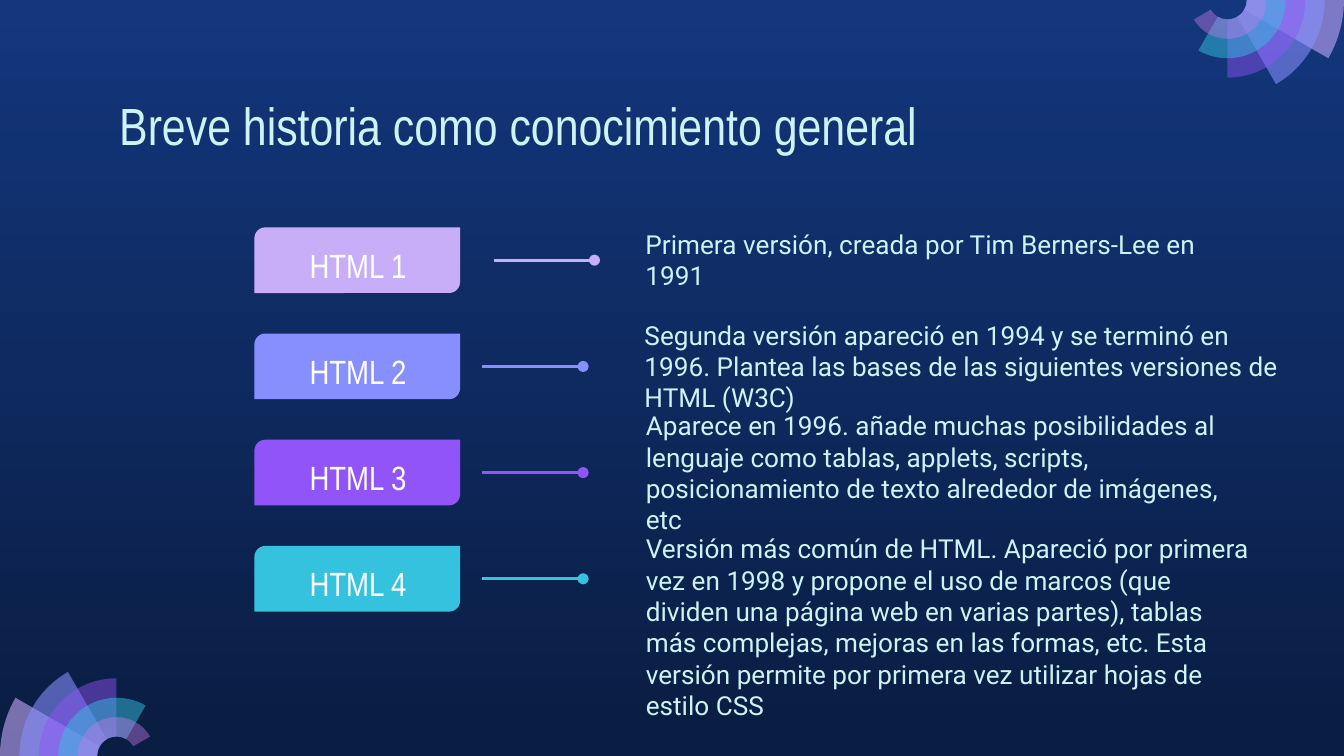
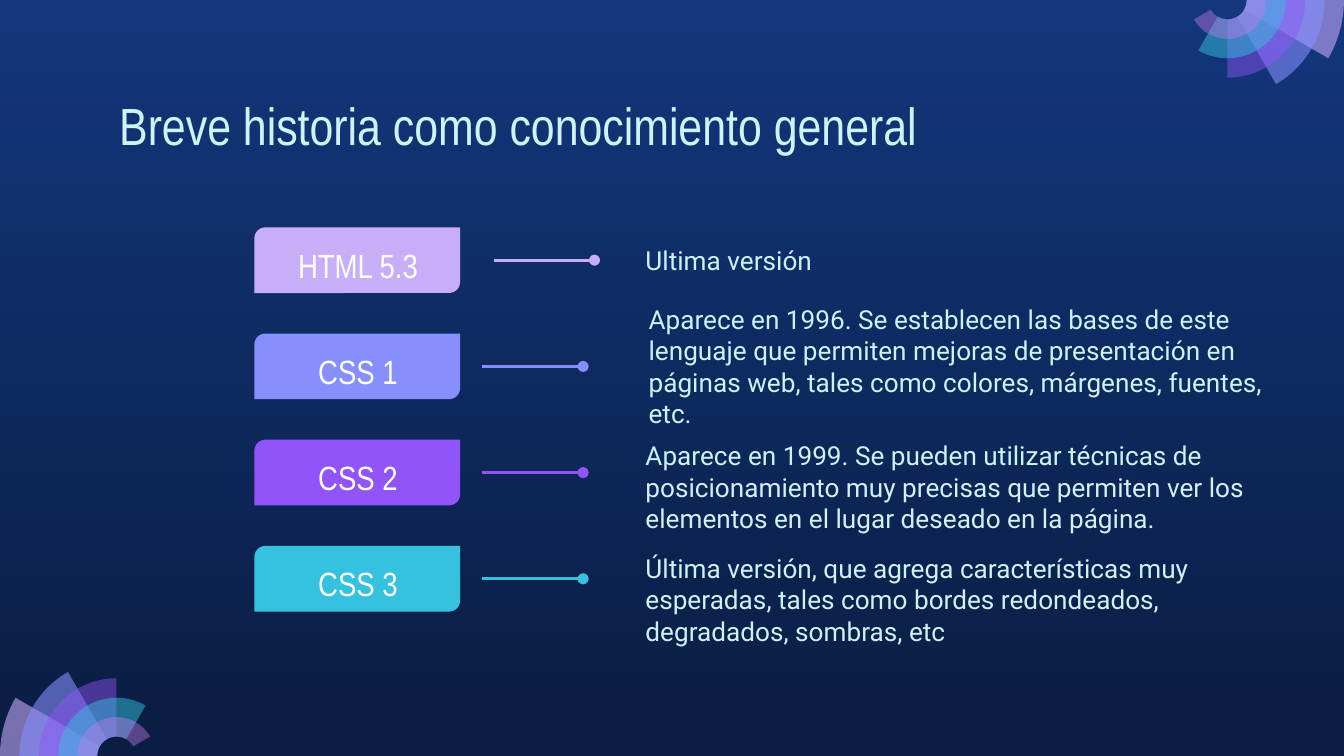
import math
from dataclasses import dataclass
from typing import Any

import lxml.etree
import pptx
import pptx.dml.color
import pptx.enum.shapes
import pptx.enum.text
import pptx.oxml.ns
import pptx.util

Pt = pptx.util.Pt
KIND = pptx.enum.shapes.MSO_SHAPE
LINK = pptx.enum.shapes.MSO_CONNECTOR
ANCHOR = pptx.enum.text.MSO_ANCHOR
ALIGN = pptx.enum.text.PP_ALIGN
qn = pptx.oxml.ns.qn

WIDE, HIGH = 720, 405
HUES = {
    "top": "13367C", "base": "0A1D42", "text": "CEF3F5", "white": "FFFFFF",
    "pale": "C8ACFD", "lilac": "C8AEF8", "blue": "878FFF",
    "purple": "9154F8", "cyan": "35C2DF", "pink": "CA7BEB",
}
TITLE = "Breve historia como conocimiento general"

# Each wheel is a stack of rings, every one a step smaller and 30 degrees longer.
STEP = 10.4
RINGS = [("pale", 58), ("blue", 58), ("purple", 46), ("cyan", 49), ("pink", 42)]
HUB = 6 * STEP

# Rows of a slide
BARS = ["lilac", "blue", "purple", "cyan"]
LEFT, TOP, PITCH = 136.3, 121.8, 56.9
BAR_W, BAR_H = 110.2, 35.2
LINE_W = 54
PAD = 7.2


@dataclass
class Box:
    left: float
    top: float
    width: float
    height: float


@dataclass
class Row:
    label: str
    note: str
    box: Box
    pad: float = 3 * PAD


@dataclass
class Style:
    font: dict[str, Any]
    hue: str
    para: dict[str, Any]
    frame: dict[str, Any]


HEAD = Style({"size": Pt(28), "name": "Arial Narrow"}, "text",
             {"alignment": ALIGN.LEFT}, {"vertical_anchor": ANCHOR.TOP})
LABEL = Style({"size": Pt(18), "name": "Arial Narrow"}, "white",
              {"alignment": ALIGN.CENTER, "space_after": Pt(16)},
              {"vertical_anchor": ANCHOR.TOP})
NOTE = Style({"size": Pt(14), "name": "Roboto"}, "text",
             {"alignment": ALIGN.LEFT},
             {"vertical_anchor": ANCHOR.MIDDLE, "margin_right": Pt(3 * PAD)})

DECK = [
    [
        Row("HTML 1", "Primera versión, creada por Tim Berners-Lee en 1991",
            Box(324.2, 116.1, 369.4, 46)),
        Row("HTML 2", "Segunda versión apareció en 1994 y se terminó en 1996. Plantea "
            "las bases de las siguientes versiones de HTML (W3C)",
            Box(338.2, 173.1, 369.4, 46), PAD),
        Row("HTML 3", "Aparece en 1996. añade muchas posibilidades al lenguaje como "
            "tablas, applets, scripts, posicionamiento de texto alrededor de "
            "imágenes, etc",
            Box(324.4, 230, 369.4, 46)),
        Row("HTML 4", "Versión más común de HTML. Apareció por primera vez en 1998 y "
            "propone el uso de marcos (que dividen una página web en varias partes), "
            "tablas más complejas, mejoras en las formas, etc. Esta versión permite "
            "por primera vez utilizar hojas de estilo CSS",
            Box(324.4, 281, 369.4, 109.4)),
    ],
    [
        Row("HTML 5.3", "Ultima versión", Box(324.2, 116.2, 369.4, 46)),
        Row("CSS 1", "Aparece en 1996. Se establecen las bases de este lenguaje que "
            "permiten mejoras de presentación en páginas web, tales como colores, "
            "márgenes, fuentes, etc.",
            Box(340.4, 173.1, 369.4, 46), PAD),
        Row("CSS 2", "Aparece en 1999. Se pueden utilizar técnicas de posicionamiento "
            "muy precisas que permiten ver los elementos en el lugar deseado en la "
            "página.",
            Box(324.2, 237.8, 369.4, 46)),
        Row("CSS 3", "Última versión, que agrega características muy esperadas, tales "
            "como bordes redondeados, degradados, sombras, etc",
            Box(324.2, 294.5, 379.4, 53.3)),
    ],
]


def rgb(hue: str) -> pptx.dml.color.RGBColor:
    return pptx.dml.color.RGBColor.from_string(HUES[hue])


def apply(item: Any, form: dict[str, Any]) -> None:
    for key, value in form.items():
        setattr(item, key, value)


def place(box: Box) -> tuple[int, ...]:
    return tuple(Pt(n) for n in (box.left, box.top, box.width, box.height))


def paint(shape: Any, hue: str) -> None:
    """Give a shape a flat fill with no outline or shadow."""
    shape.shadow.inherit = False
    shape.fill.solid()
    shape.fill.fore_color.rgb = rgb(hue)
    shape.line.fill.background()


def write(slide: Any, text: str, box: Box, style: Style, pad: float = PAD) -> None:
    frame = slide.shapes.add_textbox(*place(box)).text_frame
    edges = {f"margin_{side}": Pt(PAD) for side in ("top", "right", "bottom")}
    apply(frame, {"word_wrap": True, "margin_left": Pt(pad), **edges, **style.frame})
    para = frame.paragraphs[0]
    apply(para, style.para)
    run = para.add_run()
    run.text = text
    apply(run.font, style.font)
    run.font.color.rgb = rgb(style.hue)


def arc(x: float, y: float, size: float, stops: list[int]) -> list[tuple[int, int]]:
    """Return the first point, then two handles and an end for each curve."""
    def spot(angle: float, pull: float = 0) -> tuple[int, int]:
        c, s = math.cos(angle), math.sin(angle)
        return Pt(x + size * (c - pull * s)), Pt(y - size * (s + pull * c))

    turns = [math.radians(stop) for stop in stops]
    dots = [spot(turns[0])]
    for a, b in zip(turns, turns[1:]):
        pull = 4 / 3 * math.tan((b - a) / 4)
        dots += [spot(a, pull), spot(b, -pull), spot(b)]
    return dots


def bend(shape: Any, count: int) -> None:
    """Turn the lines on both sides of the middle one into curves."""
    lines = shape._element.findall(f".//{qn('a:lnTo')}")
    del lines[3 * count]
    for i in range(0, len(lines), 3):
        curve = lxml.etree.Element(qn("a:cubicBezTo"))
        lines[i].addprevious(curve)
        for line in lines[i:i + 3]:
            curve.append(line[0])
            line.getparent().remove(line)


def wheel(slide: Any, x: float, y: float, start: int) -> None:
    """Draw the rings clockwise from the start angle."""
    group = slide.shapes.add_group_shape()
    for i, (hue, alpha) in enumerate(RINGS):
        span = 30 * (i + 1)
        stops = [start - turn for turn in sorted({0, min(span, 90), span})]
        dots = arc(x, y, (6 - i) * STEP, stops[::-1]) + arc(x, y, STEP, stops)
        pen = group.shapes.build_freeform(*dots[0])
        pen.add_line_segments(dots[1:], close=True)
        ring = pen.convert_to_shape()
        bend(ring, len(stops) - 1)
        paint(ring, hue)
        tint = ring._element.spPr.find(f".//{qn('a:srgbClr')}")
        lxml.etree.SubElement(tint, qn("a:alpha"), val=str(alpha * 1000))


def pin(slide: Any, x: float, y: float, hue: str) -> None:
    """Draw a level line with a round end."""
    line = slide.shapes.add_connector(LINK.STRAIGHT, Pt(x), Pt(y), Pt(x + LINE_W), Pt(y))
    line.line.width = Pt(1.5)
    line.line.color.rgb = rgb(hue)
    lxml.etree.SubElement(line.line._get_or_add_ln(), qn("a:tailEnd"), type="oval")
    lxml.etree.SubElement(line._element.spPr, qn("a:effectLst"))


def base(deck: Any) -> Any:
    """Add a slide with the shared ground, wheels and title."""
    slide = deck.slides.add_slide(deck.slide_layouts[6])
    fill = slide.background.fill
    fill.gradient()
    fill.gradient_angle = 270
    for stop, hue in zip(fill.gradient_stops, ("top", "base")):
        stop.color.rgb = rgb(hue)
    wheel(slide, HUB, HIGH, 180)
    wheel(slide, WIDE - HUB, 0, 360)
    return slide


def draw(slide: Any, rows: list[Row]) -> None:
    tops = [TOP + i * PITCH for i in range(len(rows))]
    for top, hue in zip(tops, BARS):
        box = Box(LEFT, top, BAR_W, BAR_H)
        bar = slide.shapes.add_shape(KIND.ROUND_2_DIAG_RECTANGLE, *place(box))
        bar.adjustments[0] = 0.167
        paint(bar, hue)
    write(slide, TITLE, Box(56.8, 42.8, 607, 45.4), HEAD)
    for top, row in zip(tops, rows):
        write(slide, row.label, Box(LEFT + 9.4, top + 2.1, 92.2, 31), LABEL)
    for row in rows:
        write(slide, row.note, row.box, NOTE, row.pad)
    for top, hue in zip(tops, BARS):
        pin(slide, 264.5 if top == TOP else 258.4, top + BAR_H / 2, hue)


def main() -> None:
    deck = pptx.Presentation()
    apply(deck, {"slide_width": Pt(WIDE), "slide_height": Pt(HIGH)})
    for rows in DECK:
        draw(base(deck), rows)
    deck.save("out.pptx")


if __name__ == "__main__":
    main()
